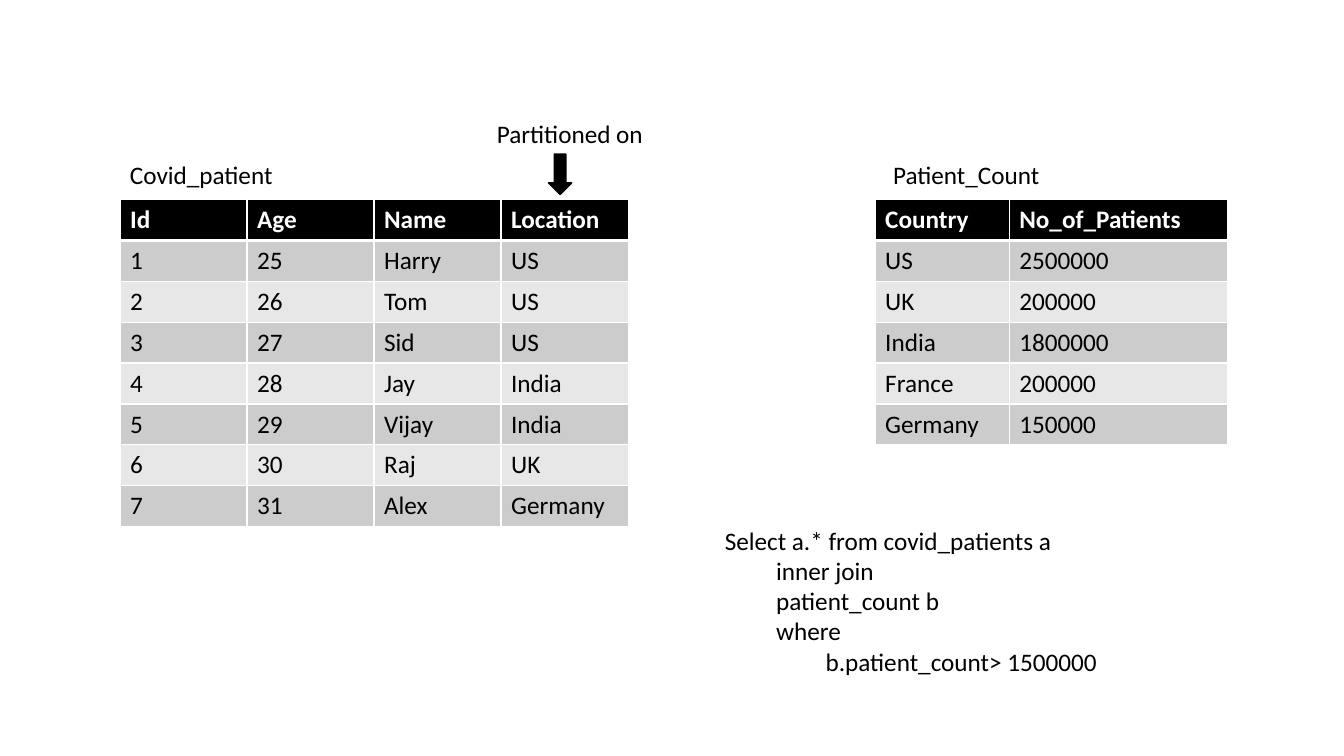
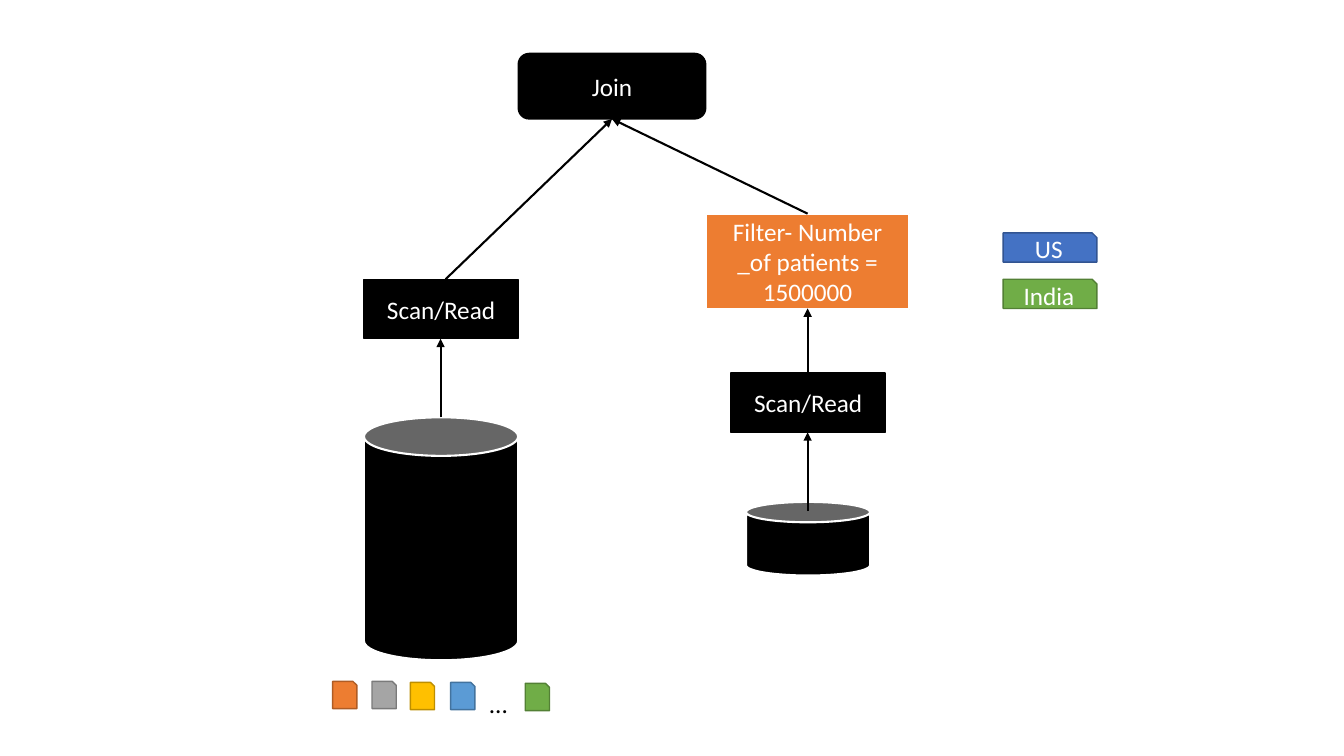
"""Build two slides on joining a partitioned patient table with a filtered one."""
from dataclasses import dataclass

from lxml.etree import SubElement
from pptx import Presentation
from pptx.dml.color import RGBColor
from pptx.enum.shapes import MSO_CONNECTOR, MSO_SHAPE
from pptx.enum.text import MSO_ANCHOR, PP_ALIGN
from pptx.oxml.ns import qn
from pptx.util import Inches, Pt


@dataclass(frozen=True)
class Theme:
    font: str = "Calibri"
    size: float = 18
    black: str = "000000"
    white: str = "FFFFFF"
    band_dark: str = "CCCCCC"
    band_light: str = "E7E7E7"
    orange: tuple = ("ED7D31", "AF5C24")
    gray: tuple = ("A5A5A5", "7A7A7A")
    gold: tuple = ("FFC000", "BD8E00")
    sky: tuple = ("5B9BD5", "43739E")
    green: tuple = ("70AD47", "538035")
    blue: tuple = ("4472C4", "325491")
    thin: float = 1
    medium: float = 1.5
    thick: float = 3


THEME = Theme()

PATIENTS = [
    ("Id", "Age", "Name", "Location"),
    ("1", "25", "Harry", "US"),
    ("2", "26", "Tom", "US"),
    ("3", "27", "Sid", "US"),
    ("4", "28", "Jay", "India"),
    ("5", "29", "Vijay", "India"),
    ("6", "30", "Raj", "UK"),
    ("7", "31", "Alex", "Germany"),
]
COUNTS = [
    ("Country", "No_of_Patients"),
    ("US", "2500000"),
    ("UK", "200000"),
    ("India", "1800000"),
    ("France", "200000"),
    ("Germany", "150000"),
]
TABLES = [
    (PATIENTS, (1.19, 1.98), [1.26] * 4, 0.405),
    (COUNTS, (8.68, 1.98), [1.33, 2.17], 0.4),
]
CAPTIONS = [
    ("Covid_patient", (1.19, 1.53, 5.05, 0.4)),
    ("Patient_Count", (8.76, 1.53, 1.67, 0.4)),
    ("Partitioned on", (4.83, 1.12, 1.78, 0.42)),
]
QUERY = [
    ("Select a.* from covid_patients a", 0),
    ("inner join", 0.51),
    ("patient_count b", 0.51),
    ("where", 0.51),
    ("b.patient_count> 1500000", 1),
]

BLACK_EDGE = (THEME.black, THEME.black)
WHITE_EDGE = (THEME.black, THEME.white)
CYLINDERS = [
    ((3.61, 4.14, 1.53, 2.41), 0.25),
    ((7.4, 4.98, 1.23, 0.73), 0.277),
]
STEPS = [
    ("Scan/Read", MSO_SHAPE.RECTANGLE, (3.61, 2.77, 1.53, 0.59)),
    ("Scan/Read", MSO_SHAPE.RECTANGLE, (7.25, 3.7, 1.53, 0.59)),
    ("Join", MSO_SHAPE.ROUNDED_RECTANGLE, (5.14, 0.53, 1.86, 0.65)),
]
FILTER = ("Filter- Number _of patients = 1500000", (7, 2.12, 2.02, 0.95))
LEFT_FLOW, RIGHT_FLOW, JOIN_FOOT = 4.37, 8.01, (6.07, 1.18)
ARROWS = [
    ((LEFT_FLOW, 4.14), (LEFT_FLOW, 3.36)),
    ((RIGHT_FLOW, 5.07), (RIGHT_FLOW, 4.29)),
    ((RIGHT_FLOW, 3.7), (RIGHT_FLOW, 3.06)),
    ((4.42, 2.77), JOIN_FOOT),
    ((RIGHT_FLOW, 2.12), JOIN_FOOT),
]
PARTITIONS = [
    (THEME.orange, 3.3, 6.76),
    (THEME.gray, 3.69, 6.76),
    (THEME.gold, 4.07, 6.77),
    (THEME.sky, 4.47, 6.77),
    (THEME.green, 5.21, 6.78),
]
MATCHES = [("US", THEME.blue, 2.31), ("India", THEME.green, 2.77)]


def write(frame, lines, color=THEME.black, bold=False, align=PP_ALIGN.LEFT):
    for index, (text, indent) in enumerate(lines):
        para = frame.paragraphs[0] if index == 0 else frame.add_paragraph()
        para.alignment = align
        if indent:
            para._p.get_or_add_pPr().set("marL", str(Inches(indent)))
        span = para.add_run()
        span.text = text
        span.font.name, span.font.size = THEME.font, Pt(THEME.size)
        span.font.bold = bold
        span.font.color.rgb = RGBColor.from_string(color)


def add_label(page, lines, place, wrap=True):
    box = page.shapes.add_textbox(*map(Inches, place))
    box.text_frame.word_wrap = wrap
    write(box.text_frame, lines)


def add_block(page, kind, place, colors, text="", width=THEME.thin):
    fill, edge = colors
    shape = page.shapes.add_shape(kind, *map(Inches, place))
    shape.shadow.inherit = False
    shape.fill.solid()
    shape.fill.fore_color.rgb = RGBColor.from_string(fill)
    shape.line.color.rgb = RGBColor.from_string(edge)
    shape.line.width = Pt(width)
    if text:
        shape.text_frame.word_wrap = True
        shape.text_frame.vertical_anchor = MSO_ANCHOR.MIDDLE
        write(shape.text_frame, [(text, 0)], color=THEME.white, align=PP_ALIGN.CENTER)
    return shape


def add_arrow(page, start, end):
    arrow = page.shapes.add_connector(MSO_CONNECTOR.STRAIGHT, *map(Inches, start + end))
    arrow.line.color.rgb = RGBColor.from_string(THEME.black)
    arrow.line.width = Pt(THEME.medium)
    SubElement(arrow.line._get_or_add_ln(), qn("a:tailEnd"), type="triangle")
    SubElement(arrow._element.spPr, qn("a:effectLst"))


def set_borders(cell, bottom):
    properties = cell._tc.get_or_add_tcPr()
    for side in ("lnL", "lnR", "lnT", "lnB"):
        width = bottom if side == "lnB" else THEME.thin
        line = SubElement(properties, qn(f"a:{side}"), w=str(Pt(width)))
        fill = SubElement(line, qn("a:solidFill"))
        SubElement(fill, qn("a:srgbClr"), val=THEME.white)


def add_grid(page, rows, corner, widths, height):
    size = (sum(widths), height * len(rows))
    table = page.shapes.add_table(len(rows), len(widths), *map(Inches, corner + size)).table
    for column, width in zip(table.columns, widths):
        column.width = Inches(width)
    for number, values in enumerate(rows):
        header = number == 0
        band = THEME.band_dark if number % 2 else THEME.band_light
        table.rows[number].height = Inches(height)
        for position, text in enumerate(values):
            cell = table.cell(number, position)
            above_body = number < 1
            set_borders(cell, THEME.thick if above_body else THEME.thin)
            cell.fill.solid()
            cell.fill.fore_color.rgb = RGBColor.from_string(THEME.black if header else band)
            write(cell.text_frame, [(text, 0)], bold=header,
                  color=THEME.white if header else THEME.black)


def build_tables(page):
    for rows, corner, widths, height in TABLES:
        add_grid(page, rows, corner, widths, height)
    for text, place in CAPTIONS:
        add_label(page, [(text, 0)], place)
    add_block(page, MSO_SHAPE.DOWN_ARROW, (5.44, 1.53, 0.23, 0.4), BLACK_EDGE)
    add_label(page, QUERY, (7.09, 5.16, 3.94, 1.62), wrap=False)


def build_plan(page):
    for place, depth in CYLINDERS:
        cylinder = add_block(page, MSO_SHAPE.CAN, place, WHITE_EDGE, width=THEME.medium)
        cylinder.adjustments[0] = depth
    text, place = FILTER
    add_block(page, MSO_SHAPE.RECTANGLE, place, (THEME.orange[0], THEME.white),
              text=text, width=THEME.medium)
    for text, kind, place in STEPS:
        add_block(page, kind, place, BLACK_EDGE, text=text)
    for start, end in ARROWS:
        add_arrow(page, start, end)
    for colors, left, top in PARTITIONS:
        add_block(page, MSO_SHAPE.SNIP_1_RECTANGLE, (left, top, 0.24, 0.27), colors)
    add_label(page, [("...", 0)], (4.75, 6.78, 0.39, 0.4), wrap=False)
    for text, colors, top in MATCHES:
        add_block(page, MSO_SHAPE.SNIP_1_RECTANGLE, (9.95, top, 0.93, 0.29), colors, text=text)


deck = Presentation()
deck.slide_width, deck.slide_height = Inches(13.33), Inches(7.5)
for build in (build_tables, build_plan):
    build(deck.slides.add_slide(deck.slide_layouts[6]))
deck.save("out.pptx")
